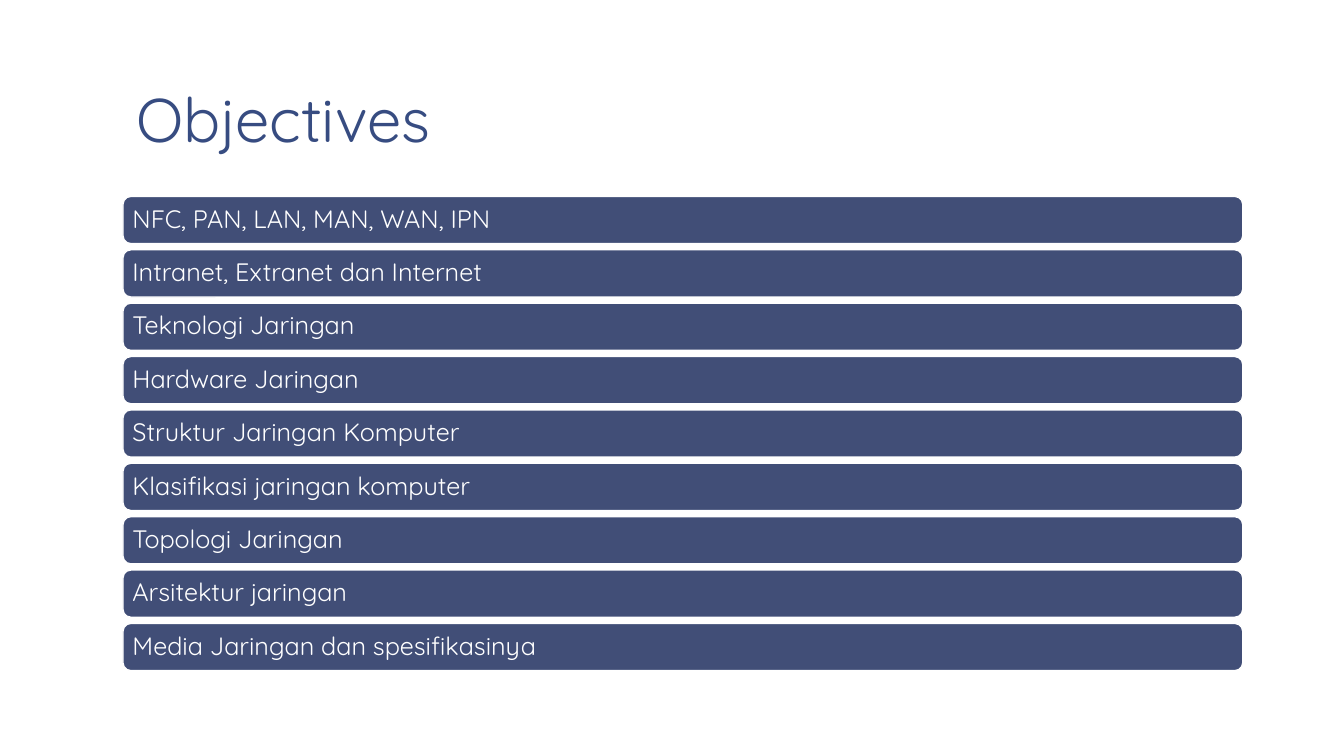
from pptx import Presentation
from pptx import util as u
from pptx.dml.color import RGBColor
from pptx.enum import shapes, text

COLORS = {"title": "374C81", "bar": "414E77", "white": "FFFFFF"}
FONT = "Quicksand"
LEFT, WIDTH = 3.1, 28.22
TOP, LAST, HEIGHT = 4.95, 15.71, 1.19

TOPICS = [
    "NFC, PAN, LAN, MAN, WAN, IPN",
    "Intranet, Extranet dan Internet",
    "Teknologi Jaringan",
    "Hardware Jaringan",
    "Struktur Jaringan Komputer",
    "Klasifikasi jaringan komputer",
    "Topologi Jaringan",
    "Arsitektur jaringan",
    "Media Jaringan dan spesifikasinya",
]


def color(name):
    return RGBColor.from_string(COLORS[name])


def write(shape, words, *, size, ink, anchor, space, side, edge):
    frame = shape.text_frame
    frame.word_wrap = True
    frame.vertical_anchor = anchor
    frame.margin_left = frame.margin_right = u.Cm(side)
    frame.margin_top = frame.margin_bottom = u.Cm(edge)
    para = frame.paragraphs[0]
    para.alignment = text.PP_ALIGN.LEFT
    para.line_spacing = space
    run = para.add_run()
    run.text = words
    run.font.name = FONT
    run.font.size = u.Pt(size)
    run.font.color.rgb = color(ink)


class Deck:
    def __init__(self, slide):
        self.slide = slide
        fill = slide.background.fill
        fill.solid()
        fill.fore_color.rgb = color("white")

    def title(self, words, *box):
        shape = self.slide.shapes.add_textbox(*map(u.Cm, box))
        write(shape, words, size=44, ink="title", space=0.85, side=0.33,
              edge=0.18, anchor=text.MSO_ANCHOR.BOTTOM)

    def bar(self, words, *box):
        shape = self.slide.shapes.add_shape(
            shapes.MSO_SHAPE.ROUNDED_RECTANGLE, *map(u.Cm, box))
        shape.shadow.inherit = False
        shape.fill.solid()
        shape.fill.fore_color.rgb = color("bar")
        shape.line.color.rgb = color("white")
        shape.line.width = u.Pt(1)
        write(shape, words, size=18, ink="white", space=0.9, side=0.18,
              edge=0.18, anchor=text.MSO_ANCHOR.MIDDLE)


def main():
    prs = Presentation()
    prs.slide_width, prs.slide_height = u.Cm(33.87), u.Cm(19.05)
    deck = Deck(prs.slides.add_slide(prs.slide_layouts[6]))

    # Heading
    deck.title("Objectives", LEFT, 0.2, WIDTH, 3.89)

    # Evenly spaced topic bars
    step = (LAST - TOP) / (len(TOPICS) - 1)
    for i, topic in enumerate(TOPICS):
        deck.bar(topic, LEFT, TOP + i * step, WIDTH, HEIGHT)

    prs.save("out.pptx")


if __name__ == "__main__":
    main()
